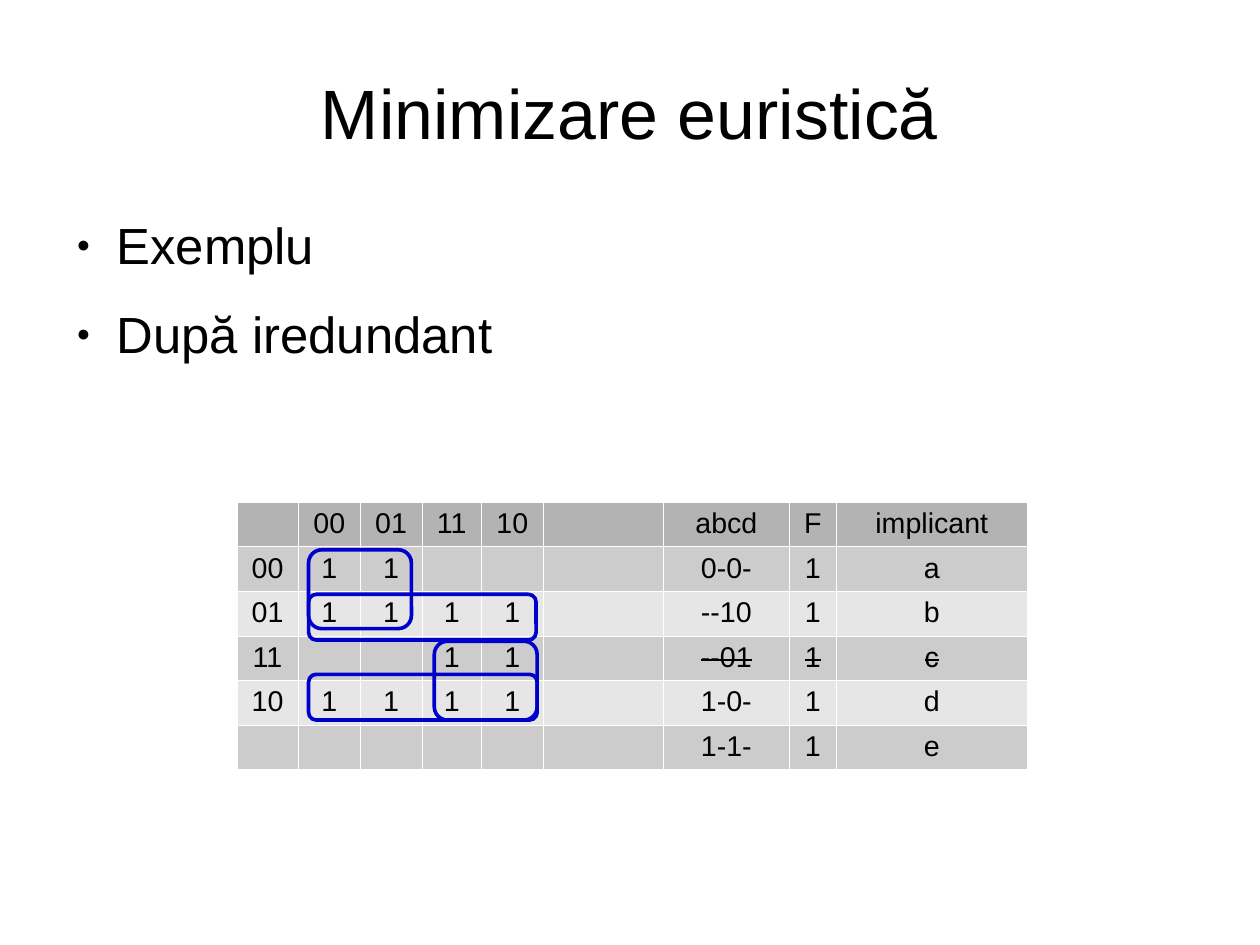
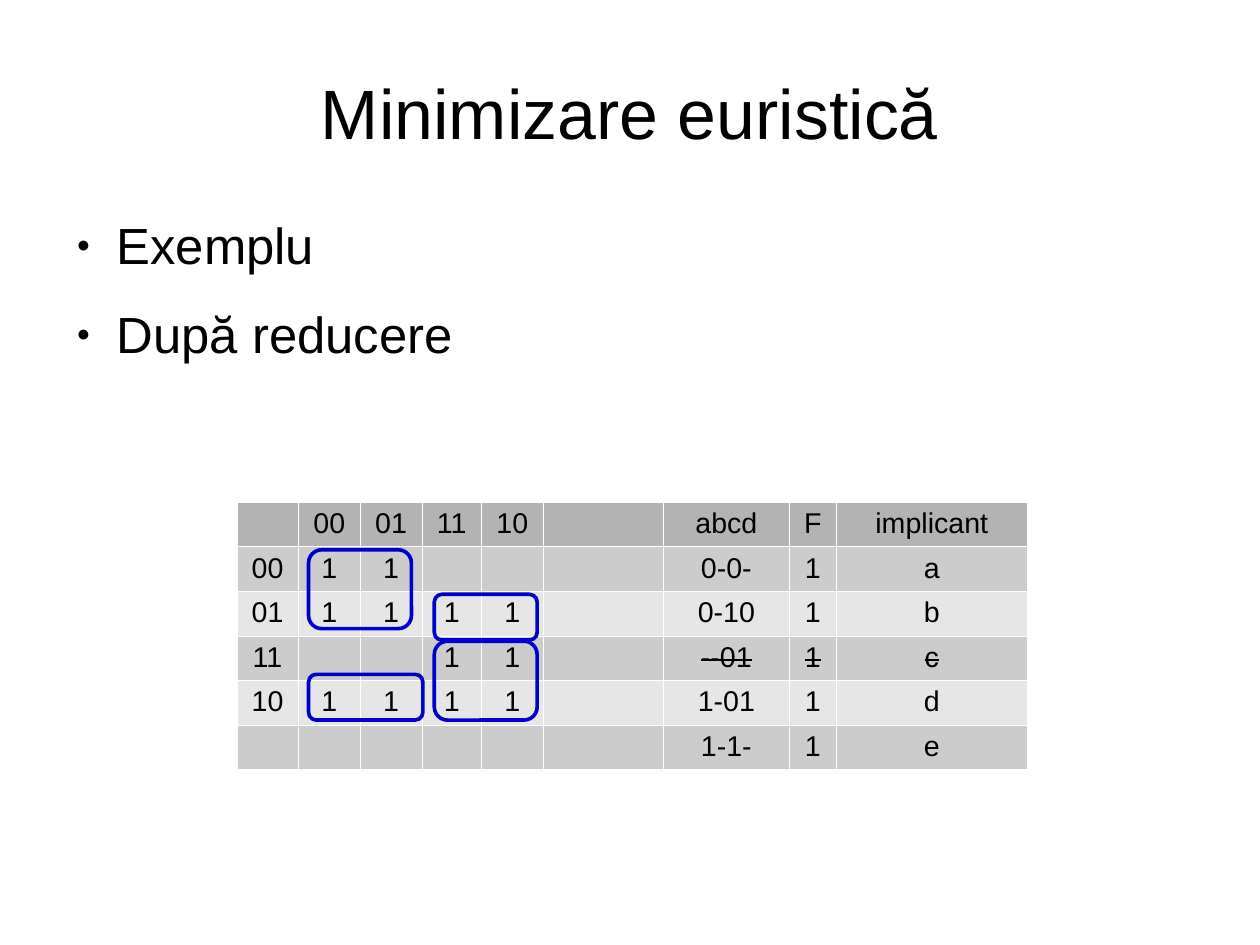
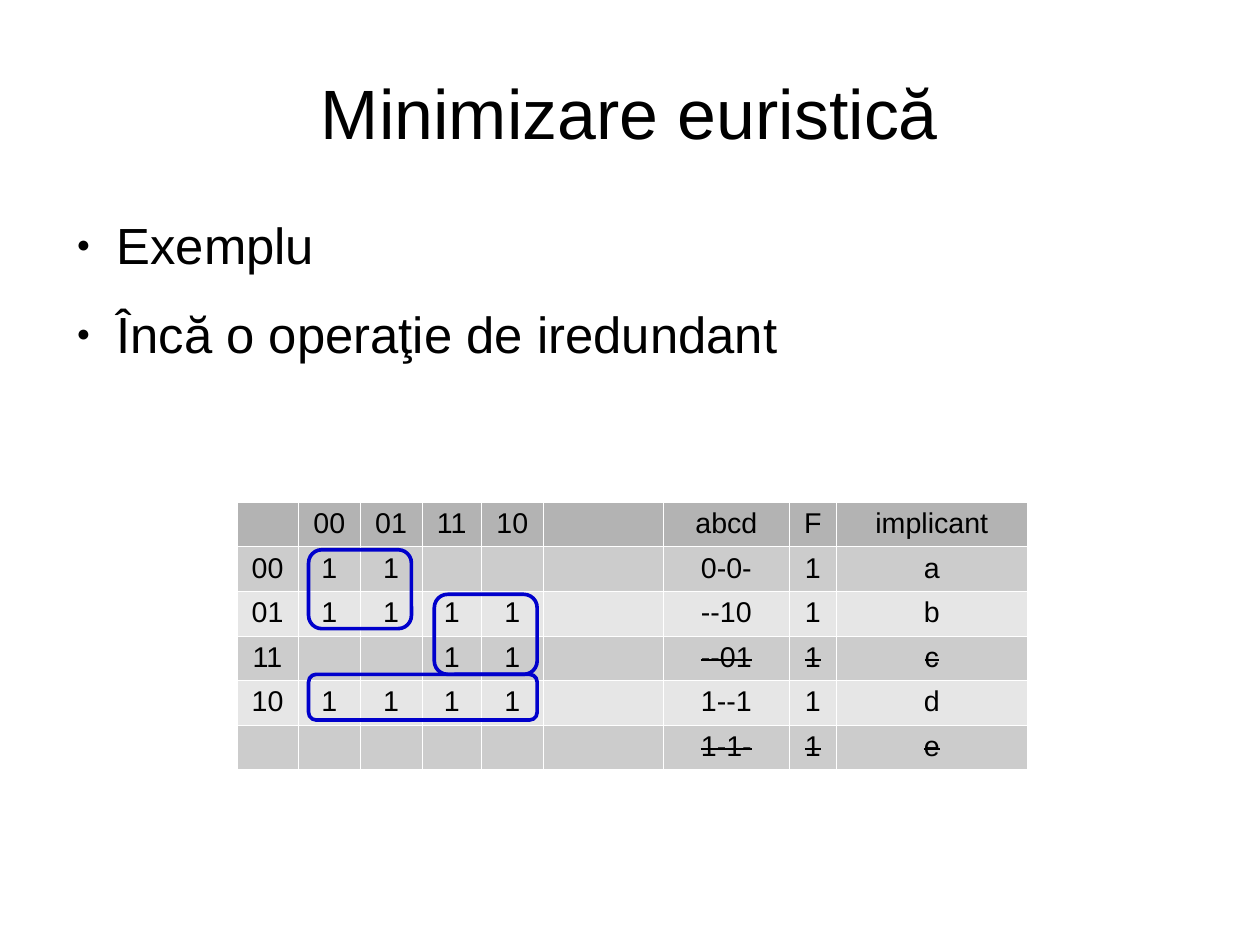
from dataclasses import dataclass

from lxml import etree
from pptx import Presentation
from pptx.dml.color import RGBColor
from pptx.enum.shapes import MSO_SHAPE
from pptx.enum.text import MSO_ANCHOR, MSO_AUTO_SIZE, PP_ALIGN
from pptx.oxml.ns import qn
from pptx.util import Inches, Pt

CENTER, LEFT = PP_ALIGN.CENTER, PP_ALIGN.LEFT
MIDDLE, TOP = MSO_ANCHOR.MIDDLE, MSO_ANCHOR.TOP
SHRINK = MSO_AUTO_SIZE.TEXT_TO_FIT_SHAPE
LOOP_SHAPE = MSO_SHAPE.FLOWCHART_ALTERNATE_PROCESS


@dataclass(frozen=True)
class Theme:
    font: str = "Arial"
    text: str = "000000"
    background: str = "FFFFFF"
    header: str = "B3B3B3"
    bands: tuple = ("CCCCCC", "E6E6E6")
    border: str = "FFFFFF"
    loop: str = "0000CC"
    title_size: float = 44
    body_size: float = 32
    table_size: float = 18
    loop_width: float = 2.3
    border_width: float = 0.06


THEME = Theme()

# Shared content
TITLE = "Minimizare euristică"
FIRST_BULLET = "Exemplu"
HEADER = ["", "00", "01", "11", "10", "", "abcd", "F", "implicant"]
KARNAUGH_MAP = [
    ["00", "1", "1", "", ""],
    ["01", "1", "1", "1", "1"],
    ["11", "", "", "1", "1"],
    ["10", "1", "1", "1", "1"],
    ["", "", "", "", ""],
]
IMPLICANTS = "abcde"

# Loops around groups of ones: left, top, width, height
LOOP_A = (2.7, 4.81, 0.9, 0.69)
LOOP_B = (2.7, 5.2, 1.99, 0.4)
LOOP_B_REDUCED = (3.8, 5.2, 0.9, 0.4)
LOOP_B_EXPANDED = (3.8, 5.2, 0.9, 0.7)
LOOP_D = (2.7, 5.9, 2, 0.4)
LOOP_D_REDUCED = (2.7, 5.9, 1, 0.4)
LOOP_E = (3.8, 5.61, 0.9, 0.69)

# One entry per step: cubes in implicant order, removed implicants, loops
STEPS = [
    {"step": "După iredundant",
     "cubes": ["0-0-", "--10", "--01", "1-0-", "1-1-"],
     "removed": "c",
     "loops": [LOOP_A, LOOP_E, LOOP_D, LOOP_B]},
    {"step": "După reducere",
     "cubes": ["0-0-", "0-10", "--01", "1-01", "1-1-"],
     "removed": "c",
     "loops": [LOOP_A, LOOP_E, LOOP_D_REDUCED, LOOP_B_REDUCED]},
    {"step": "Încă o operaţie de iredundant",
     "cubes": ["0-0-", "--10", "--01", "1--1", "1-1-"],
     "removed": "ce",
     "loops": [LOOP_A, LOOP_D, LOOP_B_EXPANDED]},
]

# Layout: the page is 28 by 21 centimetres
CM_PER_INCH = 2.54
SLIDE_SIZE = (28 / CM_PER_INCH, 21 / CM_PER_INCH)
TITLE_BOX = (0.55, 0.33, 9.92, 1.38)
BODY_BOX = (0.55, 1.93, 9.92, 4.8)
TABLE_BOX = (2.07, 4.39, 6.92, 2.3)
COLUMN_SHARES = [0.54, 0.54, 0.54, 0.52, 0.54, 1.05, 1.1, 0.41, 1.67]
BULLET_INDENT, BULLET_HANG = 0.47, -0.35
FRAME_FORMAT = {"word_wrap": True, "margin_left": 0, "margin_top": 0,
                "margin_right": 0, "margin_bottom": 0}
CELL_FORMAT = {"margin_left": Inches(0.1), "margin_top": Inches(0.05),
               "margin_right": Inches(0.1), "margin_bottom": Inches(0.04)}


def apply(target, values):
    for name, value in values.items():
        setattr(target, name, value)


def inches(box):
    return [Inches(length) for length in box]


def rgb(code):
    return RGBColor.from_string(code)


def add_run(paragraph, text, size):
    run = paragraph.add_run()
    run.text = text
    apply(run.font, {"name": THEME.font, "size": Pt(size), "bold": False})
    run.font.color.rgb = rgb(THEME.text)
    return run


def add_color(parent, code):
    etree.SubElement(parent, qn("a:srgbClr"), val=code)


def add_bullet(paragraph):
    properties = paragraph._p.get_or_add_pPr()
    properties.set("marL", str(Inches(BULLET_INDENT)))
    properties.set("indent", str(Inches(BULLET_HANG)))
    add_color(etree.SubElement(properties, qn("a:buClr")), THEME.text)
    etree.SubElement(properties, qn("a:buSzPct"), val="45000")
    etree.SubElement(properties, qn("a:buFont"), typeface=THEME.font)
    etree.SubElement(properties, qn("a:buChar"), char="●")


def set_empty_font(paragraph):
    end = etree.SubElement(paragraph._p, qn("a:endParaRPr"),
                           sz=str(THEME.table_size * 100))
    etree.SubElement(end, qn("a:latin"), typeface=THEME.font)


def add_borders(cell):
    properties = cell._tc.get_or_add_tcPr()
    for position, side in enumerate(("lnL", "lnR", "lnT", "lnB")):
        line = etree.Element(qn(f"a:{side}"), w=str(Pt(THEME.border_width)))
        add_color(etree.SubElement(line, qn("a:solidFill")), THEME.border)
        properties.insert(position, line)


def add_text(slide, box, anchor):
    frame = slide.shapes.add_textbox(*inches(box)).text_frame
    apply(frame, {**FRAME_FORMAT, "vertical_anchor": anchor})
    return frame


def add_heading(slide, step):
    title = add_text(slide, TITLE_BOX, MIDDLE).paragraphs[0]
    apply(title, {"alignment": CENTER, "line_spacing": 0.9})
    add_run(title, TITLE, THEME.title_size)

    body = add_text(slide, BODY_BOX, TOP)
    body.auto_size = SHRINK
    bullets = [(body.paragraphs[0], FIRST_BULLET, 11.3),
               (body.add_paragraph(), step, 14.1)]
    for paragraph, text, space_after in bullets:
        apply(paragraph, {"alignment": LEFT, "line_spacing": 0.9,
                          "space_before": Pt(10), "space_after": Pt(space_after)})
        add_bullet(paragraph)
        add_run(paragraph, text, THEME.body_size)


def add_cover_table(slide, cubes, removed):
    rows = [HEADER] + [
        ones + ["", cube, "1", implicant]
        for ones, cube, implicant in zip(KARNAUGH_MAP, cubes, IMPLICANTS)]
    table = slide.shapes.add_table(
        len(rows), len(HEADER), *inches(TABLE_BOX)).table
    apply(table, {"first_row": False, "horz_banding": False})
    unit = TABLE_BOX[2] / sum(COLUMN_SHARES)
    for column, share in zip(table.columns, COLUMN_SHARES):
        column.width = Inches(share * unit)

    cube_column = HEADER.index("abcd")
    for r, values in enumerate(rows):
        fill = THEME.bands[(r - 1) % 2] if r else THEME.header
        for c, text in enumerate(values):
            cell = table.cell(r, c)
            apply(cell, CELL_FORMAT)
            cell.fill.solid()
            cell.fill.fore_color.rgb = rgb(fill)
            add_borders(cell)
            paragraph = cell.text_frame.paragraphs[0]
            if not text:
                set_empty_font(paragraph)
                continue
            paragraph.alignment = CENTER
            run = add_run(paragraph, text, THEME.table_size)
            if c >= cube_column and values[-1] in removed:
                run._r.get_or_add_rPr().set("strike", "sngStrike")


def add_loop(slide, box):
    loop = slide.shapes.add_shape(LOOP_SHAPE, *inches(box))
    loop.shadow.inherit = False
    loop.fill.background()
    loop.line.color.rgb = rgb(THEME.loop)
    loop.line.width = Pt(THEME.loop_width)


# Build the slides
deck = Presentation()
deck.slide_width, deck.slide_height = inches(SLIDE_SIZE)
blank = deck.slide_layouts[6]
for content in STEPS:
    slide = deck.slides.add_slide(blank)
    slide.background.fill.solid()
    slide.background.fill.fore_color.rgb = rgb(THEME.background)
    add_heading(slide, content["step"])
    add_cover_table(slide, content["cubes"], content["removed"])
    for loop_box in content["loops"]:
        add_loop(slide, loop_box)

deck.save("out.pptx")
